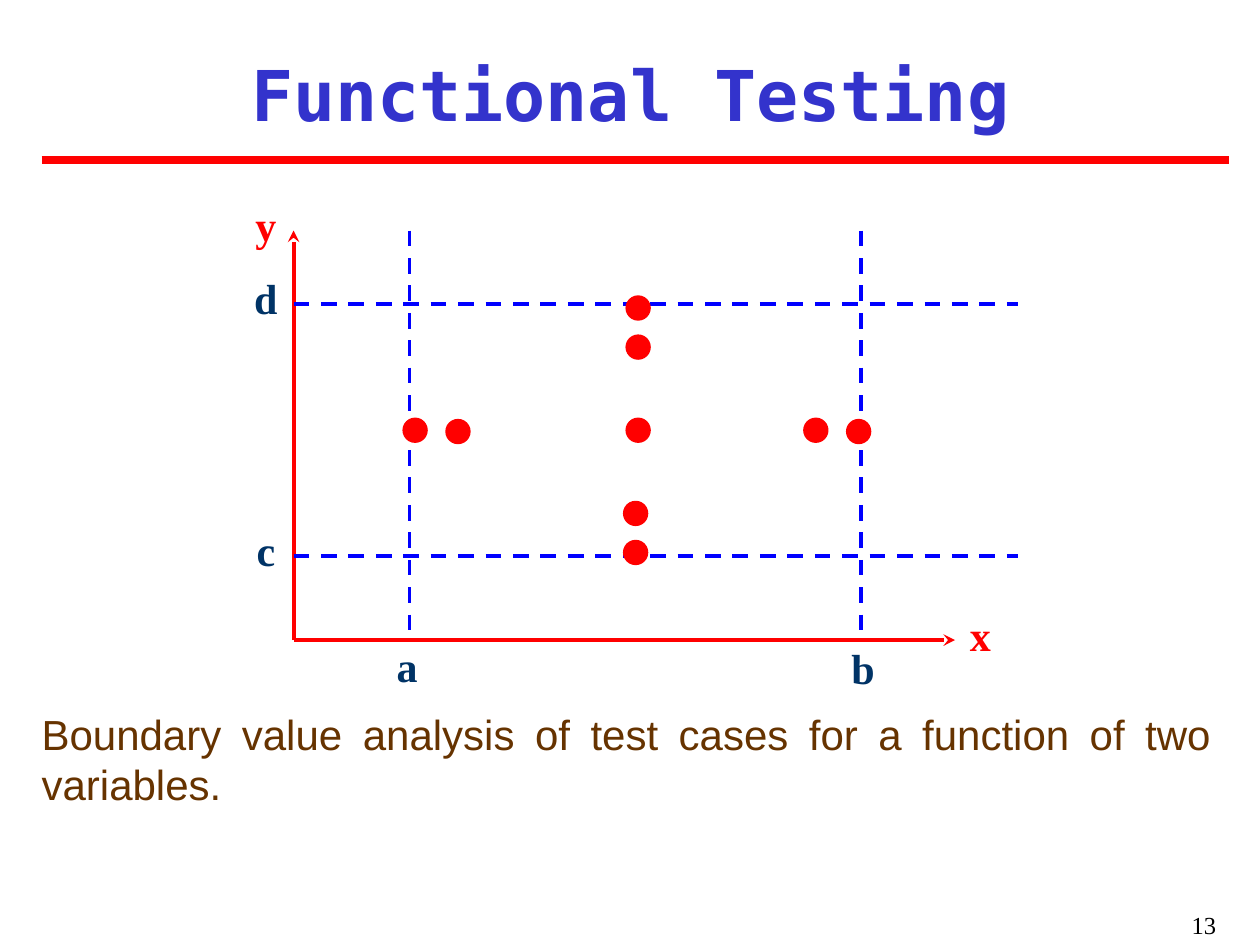
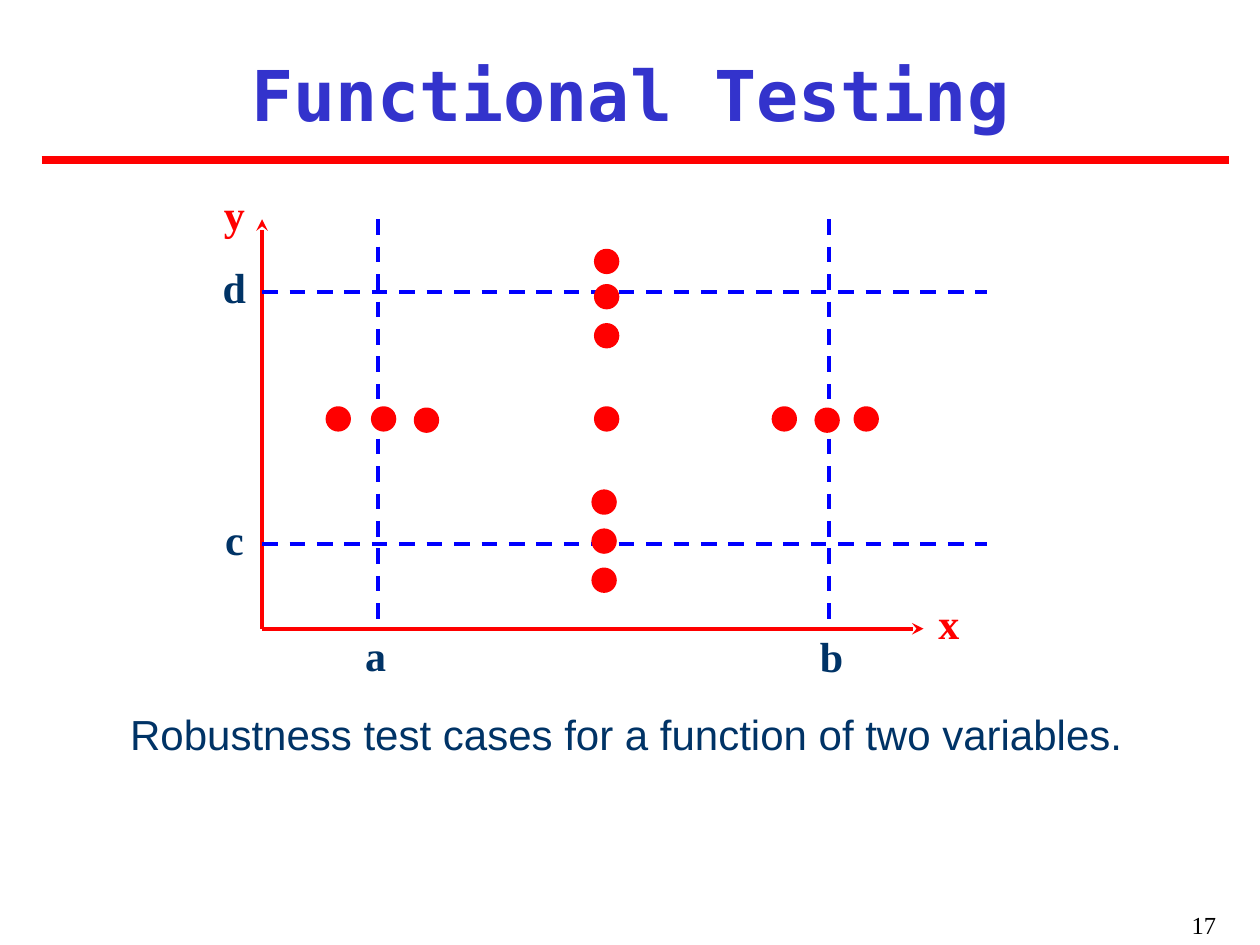
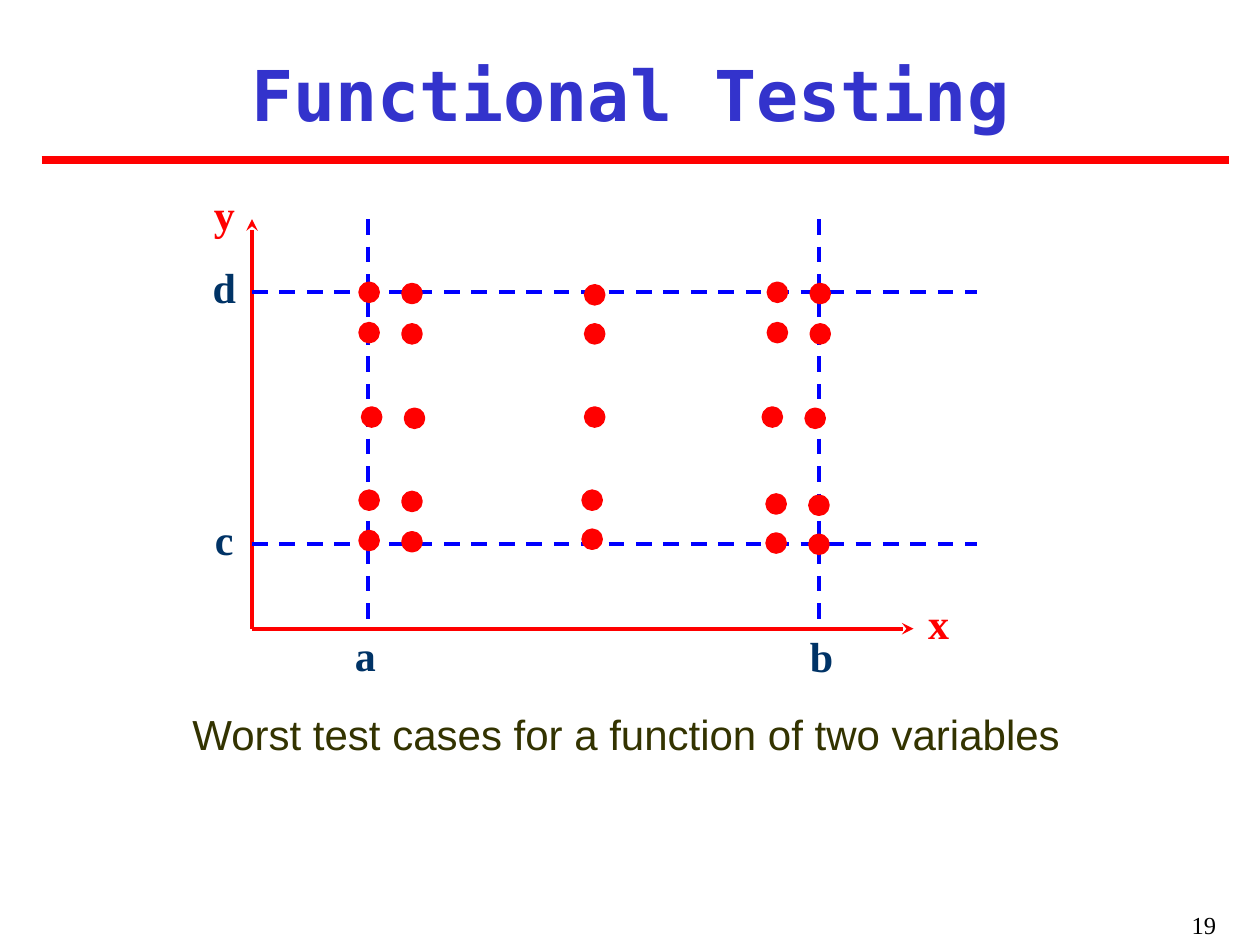
from lxml import etree
from pptx import Presentation
from pptx.dml.color import RGBColor
from pptx.enum import dml, shapes, text
from pptx.oxml.ns import qn
from pptx.util import Inches, Pt

RED, BLUE, NAVY, BLACK = "FF0000", "0000FF", "003366", "000000"
TITLE_BLUE, BROWN, OLIVE = "3333CC", "663300", "333300"
SANS, MONO, SERIF = "Arial", "DejaVu Sans Mono", "Times New Roman"
LEFT, CENTER, RIGHT = text.PP_ALIGN.LEFT, text.PP_ALIGN.CENTER, text.PP_ALIGN.RIGHT
JUSTIFY = text.PP_ALIGN.JUSTIFY
TOP, MIDDLE = text.MSO_ANCHOR.TOP, text.MSO_ANCHOR.MIDDLE

# Plot geometry, measured from the top of the y axis
AXIS_HEIGHT, AXIS_WIDTH, GUIDE_WIDTH = 3.25, 5.25, 5.75
BOUNDS_X = (0.92, 4.5)
BOUNDS_Y = (0.58, 2.58)
LABELS = [
    ("x", 5.34, 3.08, RED), ("y", -0.33, -0.17, RED),
    ("a", 0.79, 3.33, NAVY), ("b", 4.41, 3.34, NAVY),
    ("c", -0.33, 2.41, NAVY), ("d", -0.33, 0.41, NAVY),
]


def dot_pair(left, top):
    """Two neighbouring test points, one on a bound and one beside it."""
    return [(left, top), (left + 0.34, top + 0.01)]


# Test points by their top left corners
INNER_CROSS = (dot_pair(0.88, 1.5) + dot_pair(4.06, 1.5)
               + [(2.65, top) for top in (0.53, 0.84, 1.5)]
               + [(2.63, top) for top in (2.16, 2.47)])
OUTSIDE = [(0.52, 1.5), (2.65, 0.25), (2.63, 2.78), (4.71, 1.5)]
CORNER_STARTS = ([(0.86, top) for top in (0.51, 0.83, 2.16, 2.48)]
                 + [(4.1, top) for top in (0.51, 0.83)]
                 + [(4.09, top) for top in (2.19, 2.5)])
CORNERS = [dot for start in CORNER_STARTS for dot in dot_pair(*start)]


def color(value):
    return RGBColor.from_string(value)


def add_text(parent, words, box, size, font, ink, align=CENTER, anchor=MIDDLE,
             bold=False, insets=(0, 0)):
    frame = parent.shapes.add_textbox(*map(Inches, box)).text_frame
    frame.word_wrap = True
    frame.vertical_anchor = anchor
    frame.margin_left = frame.margin_right = Inches(insets[0])
    frame.margin_top = frame.margin_bottom = Inches(insets[1])
    para = frame.paragraphs[0]
    para.text = words
    para.alignment = align
    para.font.size = Pt(size)
    para.font.name = font
    para.font.bold = bold
    para.font.color.rgb = color(ink)


def add_line(parent, start, end, ink, width=2.25, dashed=False, arrow=False):
    line = parent.shapes.add_connector(
        shapes.MSO_CONNECTOR.STRAIGHT, *map(Inches, (*start, *end)))
    line.line.color.rgb = color(ink)
    line.line.width = Pt(width)
    if dashed:
        line.line.dash_style = dml.MSO_LINE.DASH
    properties = line._element.spPr
    if arrow:
        outline = properties.find(qn("a:ln"))
        etree.SubElement(outline, qn("a:tailEnd"), type="stealth")
    etree.SubElement(properties, qn("a:effectLst"))


def add_dot(parent, left, top, size):
    dot = parent.shapes.add_shape(
        shapes.MSO_SHAPE.OVAL, *map(Inches, (left, top, size, size)))
    dot.shadow.inherit = False
    dot.fill.solid()
    dot.fill.fore_color.rgb = color(RED)
    dot.line.color.rgb = color(RED)
    dot.line.width = Pt(2.25)


def add_frame(page, number):
    # Title, rule and page number
    add_line(page, (0.33, 1.27), (9.75, 1.27), RED, width=4.5)
    add_text(page, "Functional Testing", (0.25, 0.33, 9.5, 0.83), 40, MONO,
             TITLE_BLUE, bold=True, insets=(0.02, 0.05))
    add_text(page, str(number), (7.67, 7.17, 2.08, 0.33), 14, SERIF, BLACK,
             align=RIGHT, anchor=TOP, insets=(0.1, 0.05))


def add_plot(page, left, top, dots, dot_size):
    plot = page.shapes.add_group_shape()
    bottom = top + AXIS_HEIGHT
    # Axes
    add_line(plot, (left, bottom), (left + AXIS_WIDTH, bottom), RED, arrow=True)
    add_line(plot, (left, bottom), (left, top), RED, arrow=True)
    # Axis and bound labels
    for words, across, down, ink in LABELS:
        add_text(plot, words, (left + across, top + down, 0.22, 0.25), 24,
                 SERIF, ink, bold=True)
    # Dashed bounds
    for down in BOUNDS_Y:
        add_line(plot, (left, top + down), (left + GUIDE_WIDTH, top + down),
                 BLUE, dashed=True)
    for across in BOUNDS_X:
        add_line(plot, (left + across, top), (left + across, bottom),
                 BLUE, dashed=True)
    # Test points
    for across, down in dots:
        add_dot(plot, left + across, top + down, dot_size)


def add_test_page(deck, number, caption, ink, align, height, origin, dots, dot_size):
    page = deck.slides.add_slide(deck.slide_layouts[6])
    add_frame(page, number)
    add_text(page, caption, (0.33, 5.62, 9.28, height), 24, SANS, ink,
             align=align, anchor=TOP)
    add_plot(page, *origin, dots, dot_size)


def main():
    deck = Presentation()
    deck.slide_width, deck.slide_height = Inches(10), Inches(7.5)
    add_test_page(
        deck, 13,
        "Boundary value analysis of test cases for a function of two variables.",
        BROWN, JUSTIFY, 0.8, (2.33, 1.83), INNER_CROSS, 0.17)
    add_test_page(
        deck, 17, "Robustness test cases for a function of two variables.",
        NAVY, CENTER, 0.4, (2.08, 1.74), INNER_CROSS + OUTSIDE, 0.17)
    add_test_page(
        deck, 19, "Worst test cases for a function of two variables",
        OLIVE, CENTER, 0.4, (2, 1.74), INNER_CROSS + CORNERS, 0.14)
    deck.save("out.pptx")


if __name__ == "__main__":
    main()
